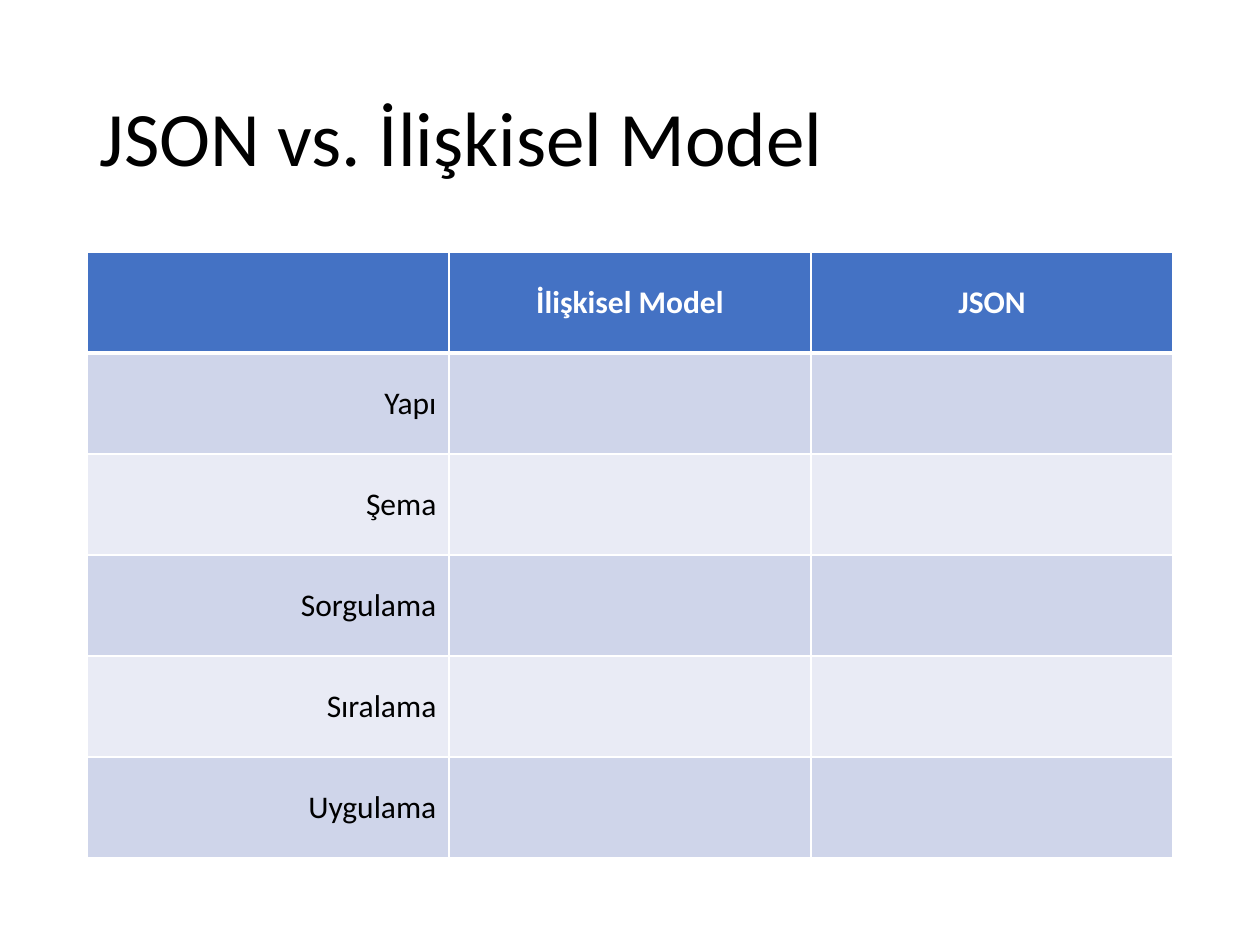
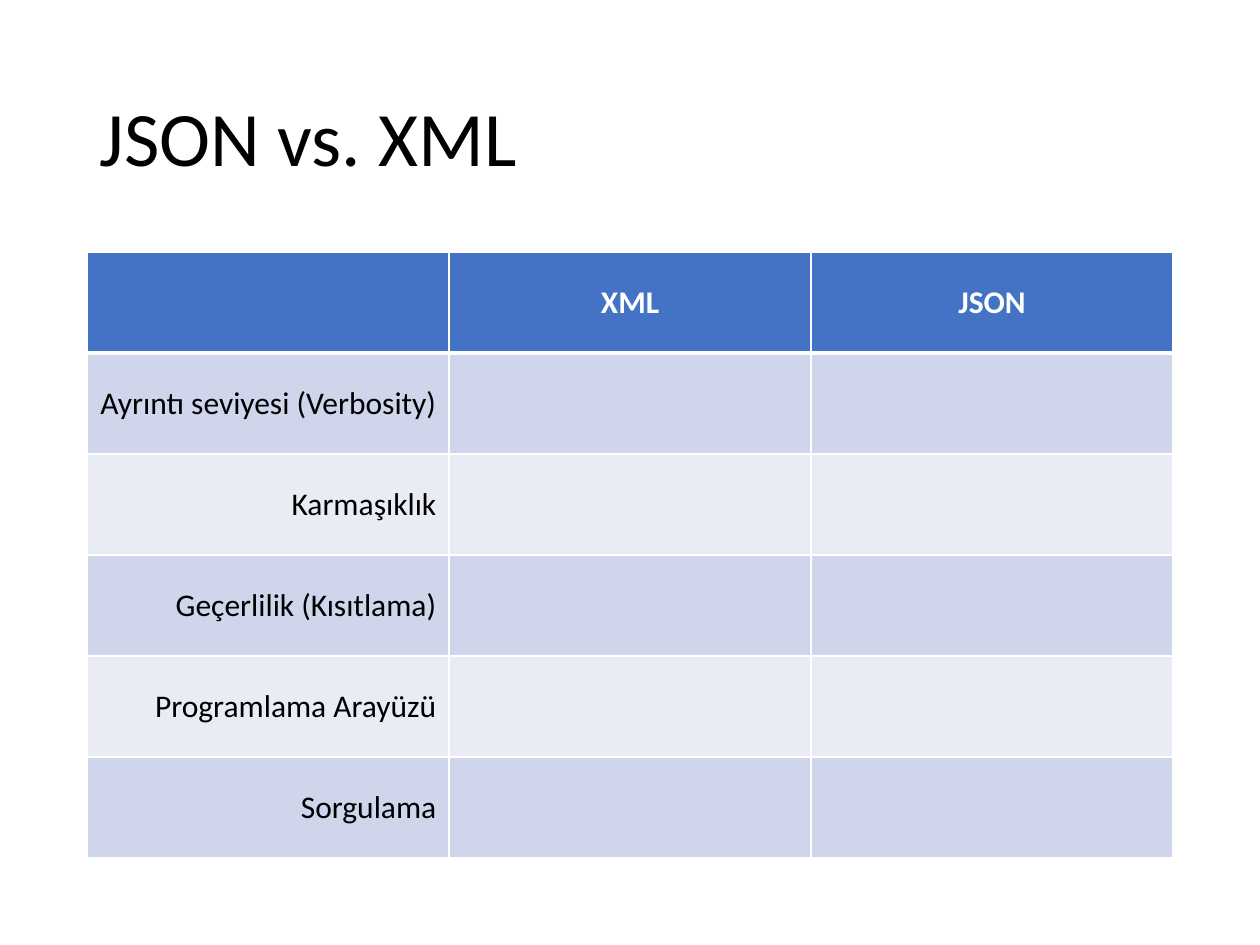
from dataclasses import dataclass
from typing import Optional

from lxml.etree import SubElement as Sub
from pptx import Presentation as Deck
from pptx.dml.color import RGBColor as Rgb
from pptx.enum.text import MSO_ANCHOR as Anchor, MSO_AUTO_SIZE as Fit, PP_ALIGN as Align
from pptx.oxml.ns import qn
from pptx.util import Inches, Pt


@dataclass(frozen=True)
class Theme:
    font: str = "Calibri"
    ink: str = "000000"
    paper: str = "FFFFFF"
    head: str = "4472C4"
    bands: tuple[str, str] = ("CFD5EA", "E9EBF5")
    title: int = 44
    body: int = 18
    thin: int = 1
    thick: int = 3


@dataclass(frozen=True)
class Box:
    left: float
    top: float
    width: float
    height: float

    def scale(self, wide: int, high: int) -> tuple[int, int, int, int]:
        return (round(self.left * wide), round(self.top * high),
                round(self.width * wide), round(self.height * high))


@dataclass(frozen=True)
class Match:
    title: str
    heads: tuple[str, ...]
    traits: tuple[str, ...]


LOOK = Theme()
WIDE, HIGH = Inches(10), Inches(7.5)
MARGIN = 0.069
SPAN = 1 - 2 * MARGIN
TITLE = Box(MARGIN, 0.4 / 7.5, SPAN, 1.45 / 7.5)
GRID = Box(MARGIN, 2 / 7.5, SPAN, 4.81 / 7.5)

MATCHES = (
    Match("JSON vs. İlişkisel Model", ("İlişkisel Model", "JSON"),
          ("Yapı", "Şema", "Sorgulama", "Sıralama", "Uygulama")),
    Match("JSON vs. XML", ("XML", "JSON"),
          ("Ayrıntı seviyesi (Verbosity)", "Karmaşıklık",
           "Geçerlilik (Kısıtlama)", "Programlama Arayüzü", "Sorgulama")),
)


def write(frame, text: str, *, size: int = LOOK.body, color: str = LOOK.ink,
          bold: bool = False, align: Align = Align.LEFT,
          space: Optional[float] = None) -> None:
    para = frame.paragraphs[0]
    para.alignment = align
    para.line_spacing = space
    run = para.add_run()
    run.text = text
    run.font.name = LOOK.font
    run.font.size = Pt(size)
    run.font.bold = bold
    run.font.color.rgb = Rgb.from_string(color)


def edge(cell, side: str, width: int) -> None:
    line = Sub(cell._tc.get_or_add_tcPr(), qn(f"a:ln{side}"), w=str(Pt(width)))
    fill = Sub(line, qn("a:solidFill"))
    Sub(fill, qn("a:srgbClr"), val=LOOK.paper)


def style(cell, row: int) -> None:
    heavy = {"T": row == 1, "B": row == 0}
    for side in "LRTB":
        edge(cell, side, LOOK.thick if heavy.get(side) else LOOK.thin)
    color = LOOK.bands[(row - 1) % 2] if row else LOOK.head
    cell.fill.solid()
    cell.fill.fore_color.rgb = Rgb.from_string(color)
    cell.vertical_anchor = Anchor.MIDDLE


def draw_title(slide, text: str) -> None:
    shape = slide.shapes.title
    shape.left, shape.top, shape.width, shape.height = TITLE.scale(WIDE, HIGH)
    frame = shape.text_frame
    frame.word_wrap = True
    frame.auto_size = Fit.NONE
    frame.vertical_anchor = Anchor.MIDDLE
    write(frame, text, size=LOOK.title, space=0.9)


def draw_grid(slide, match: Match) -> None:
    rows, cols = len(match.traits) + 1, len(match.heads) + 1
    table = slide.shapes.add_table(rows, cols, *GRID.scale(WIDE, HIGH)).table
    for row in range(rows):
        for col in range(cols):
            style(table.cell(row, col), row)
    for col, text in enumerate(match.heads, 1):
        write(table.cell(0, col).text_frame, text, color=LOOK.paper,
              bold=True, align=Align.CENTER)
    for row, text in enumerate(match.traits, 1):
        write(table.cell(row, 0).text_frame, text, align=Align.RIGHT)


def main() -> None:
    deck = Deck()
    deck.slide_width, deck.slide_height = WIDE, HIGH
    layout = deck.slide_layouts.get_by_name("Title Only")
    for match in MATCHES:
        slide = deck.slides.add_slide(layout)
        draw_title(slide, match.title)
        draw_grid(slide, match)
    deck.save("out.pptx")


if __name__ == "__main__":
    main()
